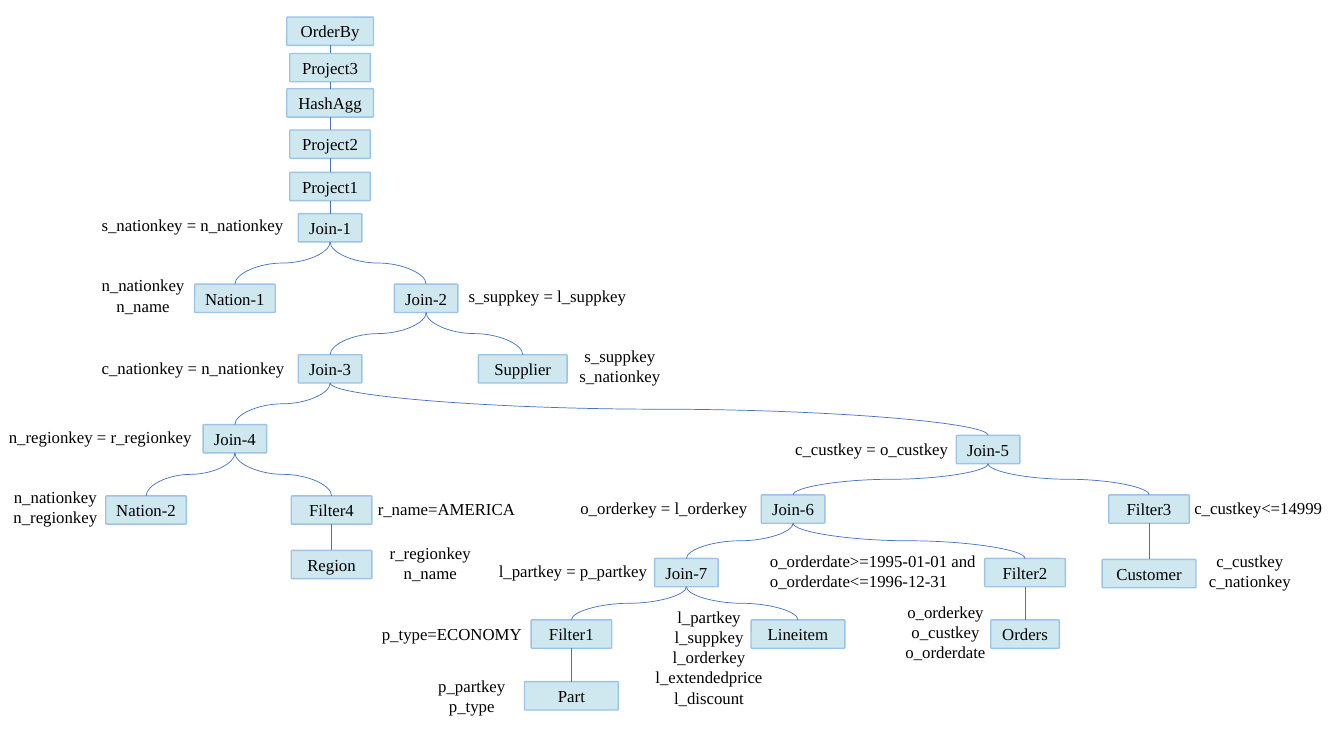
import pptx
import pptx.dml.color
import pptx.enum.shapes
import pptx.enum.text
import pptx.oxml.ns
import pptx.util
from lxml import etree

Pt = pptx.util.Pt
ALIGN = pptx.enum.text.PP_ALIGN
ANCHOR = pptx.enum.text.MSO_ANCHOR
CONNECTOR = pptx.enum.shapes.MSO_CONNECTOR
COLORS = {"text": "000000", "node": "CFE8EF", "border": "9DC3E6", "edge": "4472C4"}
NODE_HEIGHT = 20.2
JOIN, SCAN, ROOT, TABLE = 45.4, 57.6, 62, 67
BOTTOM_SITE, TOP_SITE = 2, 0


def color(key):
    return pptx.dml.color.RGBColor.from_string(COLORS[key])


def write(shape, text, align=ALIGN.CENTER, anchor=ANCHOR.TOP, wrap=True, size=12):
    frame = shape.text_frame
    frame.text = text
    frame.word_wrap = wrap
    frame.vertical_anchor = anchor
    for paragraph in frame.paragraphs:
        paragraph.alignment = align
        paragraph.font.size = Pt(size)
        paragraph.font.name = "Times New Roman"
        paragraph.font.color.rgb = color("text")


deck = pptx.Presentation()
deck.slide_width, deck.slide_height = Pt(960), Pt(540)
plan = deck.slides.add_slide(deck.slide_layouts[6])

# name, parent, center, top, width
operators = [
    ("OrderBy", None, 235.8, 12.2, ROOT),
    ("Project3", "OrderBy", 235.8, 38.2, SCAN),
    ("HashAgg", "Project3", 235.8, 63.4, ROOT),
    ("Project2", "HashAgg", 235.8, 92.9, SCAN),
    ("Project1", "Project2", 235.8, 123.1, SCAN),
    ("Join-1", "Project1", 235.8, 152.6, JOIN),
    ("Nation-1", "Join-1", 167.8, 203, SCAN),
    ("Join-2", "Join-1", 304.4, 203, JOIN),
    ("Join-3", "Join-2", 235.8, 253.4, JOIN),
    ("Supplier", "Join-2", 373.4, 253.4, 63.4),
    ("Join-4", "Join-3", 167.8, 303.3, JOIN),
    ("Join-5", "Join-3", 705.8, 311, JOIN),
    ("Nation-2", "Join-4", 104.4, 354.2, SCAN),
    ("Filter4", "Join-4", 236.9, 354.2, SCAN),
    ("Region", "Filter4", 236.9, 393.1, SCAN),
    ("Join-6", "Join-5", 566.5, 353.5, JOIN),
    ("Filter3", "Join-5", 820.8, 353.5, SCAN),
    ("Customer", "Filter3", 820.8, 399.6, TABLE),
    ("Join-7", "Join-6", 490.3, 398.9, JOIN),
    ("Filter2", "Join-6", 732.2, 398.9, SCAN),
    ("Orders", "Filter2", 732.2, 442.8, 49),
    ("Filter1", "Join-7", 408.2, 442.8, SCAN),
    ("Lineitem", "Join-7", 570, 442.8, TABLE),
    ("Part", "Filter1", 408.2, 486.9, TABLE),
]

nodes = {}
for name, parent, center, top, width in operators:
    node = plan.shapes.add_shape(
        pptx.enum.shapes.MSO_SHAPE.ROUNDED_RECTANGLE,
        Pt(center - width / 2), Pt(top), Pt(width), Pt(NODE_HEIGHT))
    node.adjustments[0] = 0.036
    node.shadow.inherit = False
    node.fill.solid()
    node.fill.fore_color.rgb = color("node")
    node.line.color.rgb = color("border")
    node.line.width = Pt(1)
    write(node, name, anchor=ANCHOR.MIDDLE, wrap=False)
    nodes[name] = (node, center)
    if parent is None:
        continue

    parent_node, parent_center = nodes[parent]
    straight = center == parent_center
    edge = plan.shapes.add_connector(
        CONNECTOR.STRAIGHT if straight else CONNECTOR.CURVE, 0, 0, 0, 0)
    edge.begin_connect(parent_node, BOTTOM_SITE)
    edge.end_connect(node, TOP_SITE)
    edge.line.color.rgb = color("edge")
    edge.line.width = Pt(0.5)
    properties = edge._element.spPr
    etree.SubElement(properties, pptx.oxml.ns.qn("a:effectLst"))
    if straight:
        continue

    middle_x = (edge.begin_x + edge.end_x) // 2
    middle_y = (edge.begin_y + edge.end_y) // 2
    across, down = edge.width, edge.height
    edge.width, edge.height = down, across
    edge.left, edge.top = middle_x - down // 2, middle_y - across // 2
    turn = properties.find(pptx.oxml.ns.qn("a:xfrm"))
    to_right = center > parent_center
    turn.set("rot", str((270 if to_right else 90) * 60000))
    turn.set("flipH", "1" if to_right else "0")

conditions = [
    ("s_nationkey = n_nationkey", 65.5, 149.8, 149),
    ("s_suppkey = l_suppkey", 327.6, 200.9, 135),
    ("c_nationkey = n_nationkey", 65.5, 252, 151),
    ("n_regionkey = r_regionkey", -0.7, 301, 152),
    ("r_name=AMERICA", 262.8, 352.8, 125),
    ("c_custkey = o_custkey", 560.9, 309.6, 126),
    ("c_custkey<=14999", 846, 352.1, 113),
    ("o_orderkey = l_orderkey", 407.5, 352.1, 136),
    ("o_orderdate>=1995-01-01 and\no_orderdate<=1996-12-31", 542.9, 389.5, 167),
    ("l_partkey = p_partkey", 349.2, 396.7, 126),
    ("p_type=ECONOMY", 265.7, 442.1, 120),
]
columns = [
    ("n_nationkey\nn_name", 62.6, 193, 79.2),
    ("s_suppkey\ns_nationkey", 403.2, 243.4, 79.2),
    ("n_nationkey\nn_regionkey", 0, 344.2, 79.2),
    ("r_regionkey\nn_name", 267.8, 383.8, 79.2),
    ("c_custkey\nc_nationkey", 853.2, 389.5, 79.2),
    ("o_orderkey\no_custkey\no_orderdate", 635.8, 426.2, 79.2),
    ("l_partkey\nl_suppkey\nl_orderkey\nl_extendedprice\nl_discount", 460.8, 429.8, 91.4),
    ("p_partkey\np_type", 297.4, 478.8, 79.2),
]
for labels, align in ((conditions, ALIGN.LEFT), (columns, ALIGN.CENTER)):
    for text, left, top, width in labels:
        height = 7.2 + 14.4 * len(text.split("\n"))
        label = plan.shapes.add_textbox(Pt(left), Pt(top), Pt(width), Pt(height))
        write(label, text, align=align)
        label.text_frame.auto_size = pptx.enum.text.MSO_AUTO_SIZE.SHAPE_TO_FIT_TEXT

deck.save("out.pptx")
